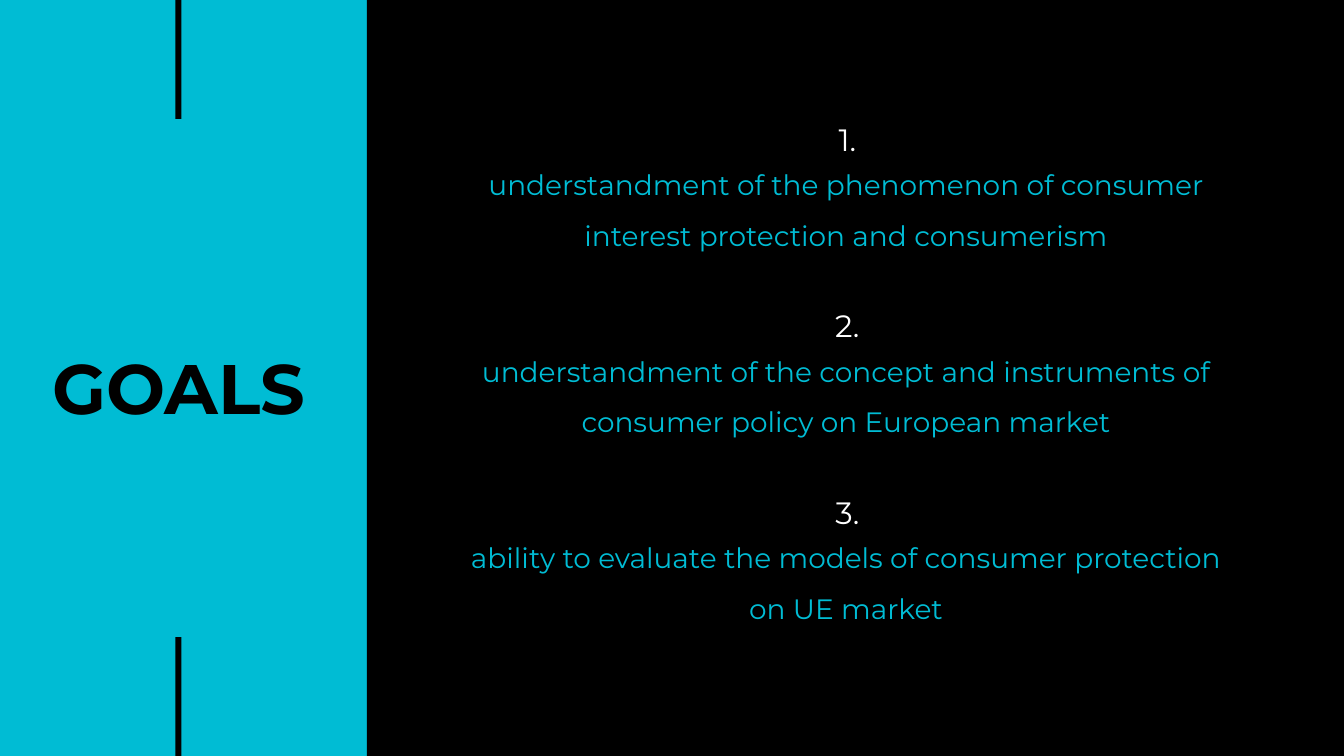
"""Build the Goals slide: a cyan title band beside three numbered goals."""
from pptx import Presentation
from pptx.dml.color import RGBColor
from pptx.enum.shapes import MSO_SHAPE
from pptx.enum.text import MSO_ANCHOR, MSO_AUTO_SIZE, PP_ALIGN
from pptx.util import Inches, Pt

TITLE = "GOALS"
GOALS = [
    "understandment of the phenomenon of consumer interest protection and consumerism",
    "understandment of the concept and instruments of consumer policy on European market",
    "ability to evaluate the models of consumer protection on UE market",
]
FONT = "Montserrat"
CYAN, BLACK, WHITE = "00BCD4", "000000", "FFFFFF"
WIDTH, HEIGHT = 20, 11.25
PANEL_LEFT, PANEL_WIDTH = 5.46, 14.69
BAR_LEFT, BAR_WIDTH, BAR_HEIGHT = 2.61, 0.09, 1.77
GOAL_LEFT, GOAL_TOP, GOAL_PITCH = 6.87, 1.57, 2.775
NUMBER_WIDTH, NUMBER_HEIGHT = 11.48, 0.6
TEXT_WIDTH, TEXT_HEIGHT, TEXT_OFFSET = 11.44, 1.2, 0.68


def paint(fill, color):
    fill.solid()
    fill.fore_color.rgb = RGBColor.from_string(color)


def add_block(page, left, top, width, height):
    block = page.shapes.add_shape(
        MSO_SHAPE.RECTANGLE, Inches(left), Inches(top), Inches(width), Inches(height))
    block.shadow.inherit = False
    paint(block.fill, BLACK)
    block.line.fill.background()


def write(box, text, size, color, spacing, bold=False, anchor=MSO_ANCHOR.TOP):
    frame = box.text_frame
    frame.word_wrap = True
    frame.auto_size = MSO_AUTO_SIZE.NONE
    frame.vertical_anchor = anchor
    frame.margin_left = frame.margin_right = frame.margin_top = frame.margin_bottom = 0
    para = frame.paragraphs[0]
    para.text = text
    para.alignment = PP_ALIGN.CENTER
    para.line_spacing = spacing
    para.font.name = FONT
    para.font.size = Pt(size)
    para.font.bold = bold
    para.font.color.rgb = RGBColor.from_string(color)


def add_text(page, left, top, width, height, *style):
    box = page.shapes.add_textbox(
        Inches(left), Inches(top), Inches(width), Inches(height))
    write(box, *style)


def main():
    deck = Presentation()
    deck.slide_width, deck.slide_height = Inches(WIDTH), Inches(HEIGHT)
    page = deck.slides.add_slide(deck.slide_layouts[5])
    paint(page.background.fill, CYAN)

    title = page.shapes.title
    title.left, title.top = Inches(-1.38), Inches(4.29)
    title.width, title.height = Inches(8.07), Inches(2.61)
    write(title, TITLE, 75, BLACK, 1.26, True, MSO_ANCHOR.MIDDLE)

    add_block(page, PANEL_LEFT, 0, PANEL_WIDTH, HEIGHT)
    for index, goal in enumerate(GOALS):
        top = GOAL_TOP + index * GOAL_PITCH
        add_text(page, GOAL_LEFT, top, NUMBER_WIDTH, NUMBER_HEIGHT,
                 f"{index + 1}.", 33, WHITE, 1.4)
        add_text(page, GOAL_LEFT, top + TEXT_OFFSET, TEXT_WIDTH, TEXT_HEIGHT,
                 goal, 30, CYAN, 1.5)
    for top in (0, HEIGHT - BAR_HEIGHT):
        add_block(page, BAR_LEFT, top, BAR_WIDTH, BAR_HEIGHT)

    deck.save("out.pptx")


if __name__ == "__main__":
    main()
